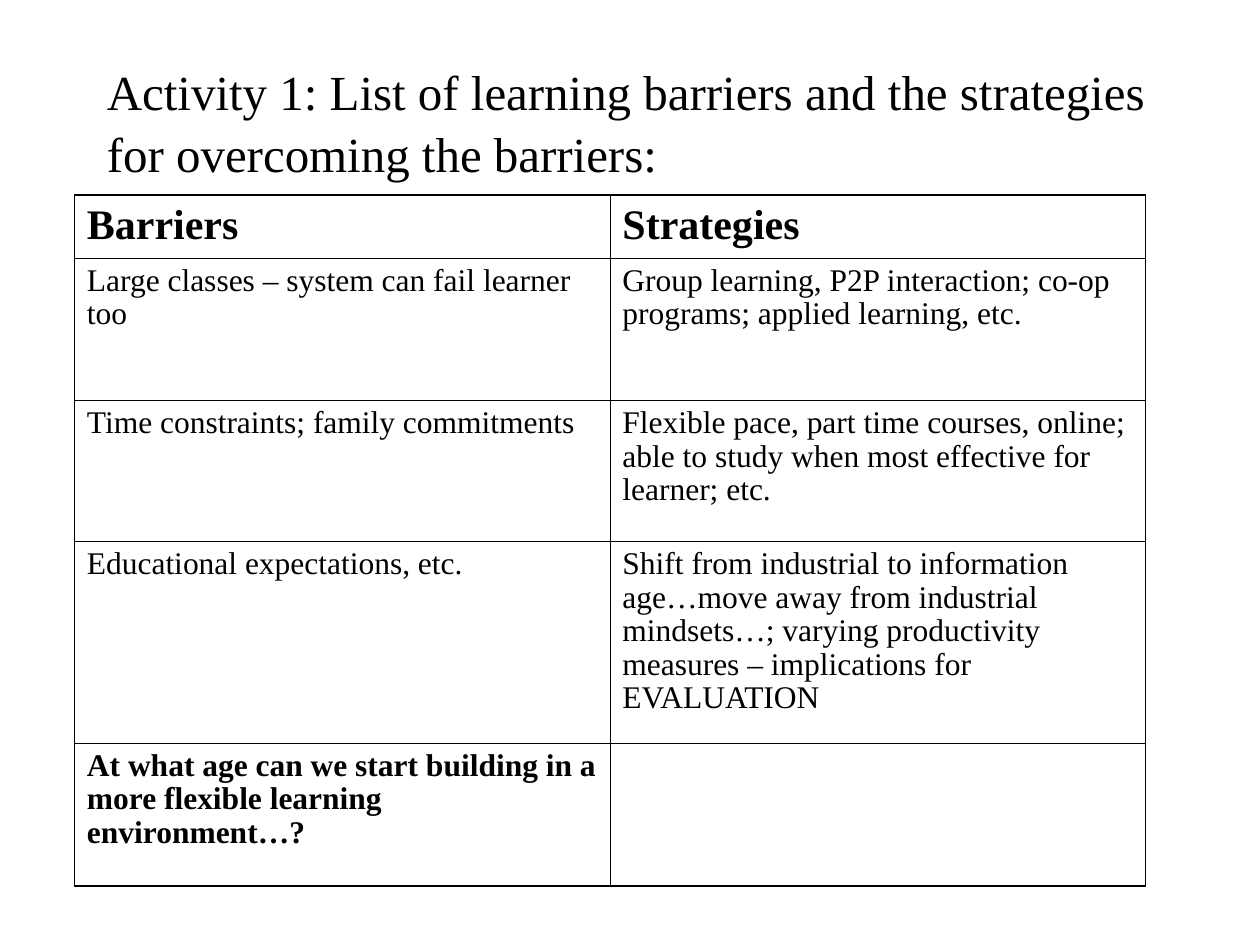
import pptx
import pptx.dml.color
import pptx.enum.text
import pptx.oxml
import pptx.oxml.ns
import pptx.util

PX = 9144
FONT = "Times New Roman"
INK = "000000"
ROW_HEIGHTS = [50, 113, 112, 160, 113]
ROWS = [
    ("Barriers", "Strategies"),
    ("Large classes – system can fail learner too",
     "Group learning, P2P interaction; co-op programs; applied learning, etc."),
    ("Time constraints; family commitments",
     "Flexible pace, part time courses, online; able to study when most effective for learner; etc."),
    ("Educational expectations, etc.",
     "Shift from industrial to information age…move away from industrial mindsets…; "
     "varying productivity measures – implications for EVALUATION"),
    ("At what age can we start building in a more flexible learning environment…?", ""),
]


def px(n):
    """Convert whole px to EMU."""
    return pptx.util.Emu(n * PX)


def color(value):
    """Turn a hex string into a colour."""
    return pptx.dml.color.RGBColor.from_string(value)


def set_text(tf, text, size, bold=False, spacing=1.0, before=0):
    """Write one paragraph and format it with standard insets."""
    tf.word_wrap = True
    p = tf.paragraphs[0]
    p.text = text
    p.line_spacing = spacing
    p.space_before = pptx.util.Pt(before)
    for r in p.runs:
        r.font.name = FONT
        r.font.size = pptx.util.Pt(size)
        r.font.bold = bold
        r.font.color.rgb = color(INK)


def set_borders(cell, widths):
    """Draw the four cell borders, given widths in points by side."""
    tc_pr = cell._tc.get_or_add_tcPr()
    for i, side in enumerate("LRTB"):
        ln = pptx.oxml.parse_xml(
            f'<a:ln{side} {pptx.oxml.ns.nsdecls("a")} w="{pptx.util.Pt(widths[side])}">'
            f'<a:solidFill><a:srgbClr val="{INK}"/></a:solidFill></a:ln{side}>')
        tc_pr.insert(i, ln)


def add_title(s, left, top, width, height):
    """Place the activity heading in its box."""
    sp = s.shapes.add_textbox(px(left), px(top), px(width), px(height))
    tf = sp.text_frame
    tf.vertical_anchor = pptx.enum.text.MSO_ANCHOR.MIDDLE
    set_text(tf, "Activity 1: List of learning barriers and the strategies "
                 "for overcoming the barriers:", 28, spacing=1.05)


def add_barrier_table(s, left, top, width):
    """Place the table of barriers and strategies."""
    n_rows, n_cols = len(ROWS), len(ROWS[0])
    last_row, last_col = n_rows - 1, n_cols - 1
    frame = s.shapes.add_table(n_rows, n_cols, px(left), px(top), px(width), px(sum(ROW_HEIGHTS)))
    table = frame.table
    table.first_row = table.horz_banding = False
    for col in table.columns:
        col.width = px(width // n_cols)
    for i, (height, texts) in enumerate(zip(ROW_HEIGHTS, ROWS)):
        table.rows[i].height = px(height)
        for j, text in enumerate(texts):
            cell = table.cell(i, j)
            cell.fill.background()
            cell.margin_left = cell.margin_right = px(10)
            cell.margin_top = cell.margin_bottom = px(5)
            header = i == 0
            set_text(cell.text_frame, text, 24 if header else 18, i in (0, last_row),
                     1.0 if header else 0.96, 6 if header else 4.5)
            outer = {"L": j == 0, "R": j == last_col, "T": header, "B": i == last_row}
            set_borders(cell, {side: 1.08 if edge else 0.45 for side, edge in outer.items()})


def main():
    """Build and save the slide."""
    prs = pptx.Presentation()
    prs.slide_width, prs.slide_height = px(1000), px(750)
    s = prs.slides.add_slide(prs.slide_layouts[6])
    add_title(s, 75, 33, 850, 125)
    add_barrier_table(s, 59, 155, 850)
    prs.save("out.pptx")


if __name__ == "__main__":
    main()
